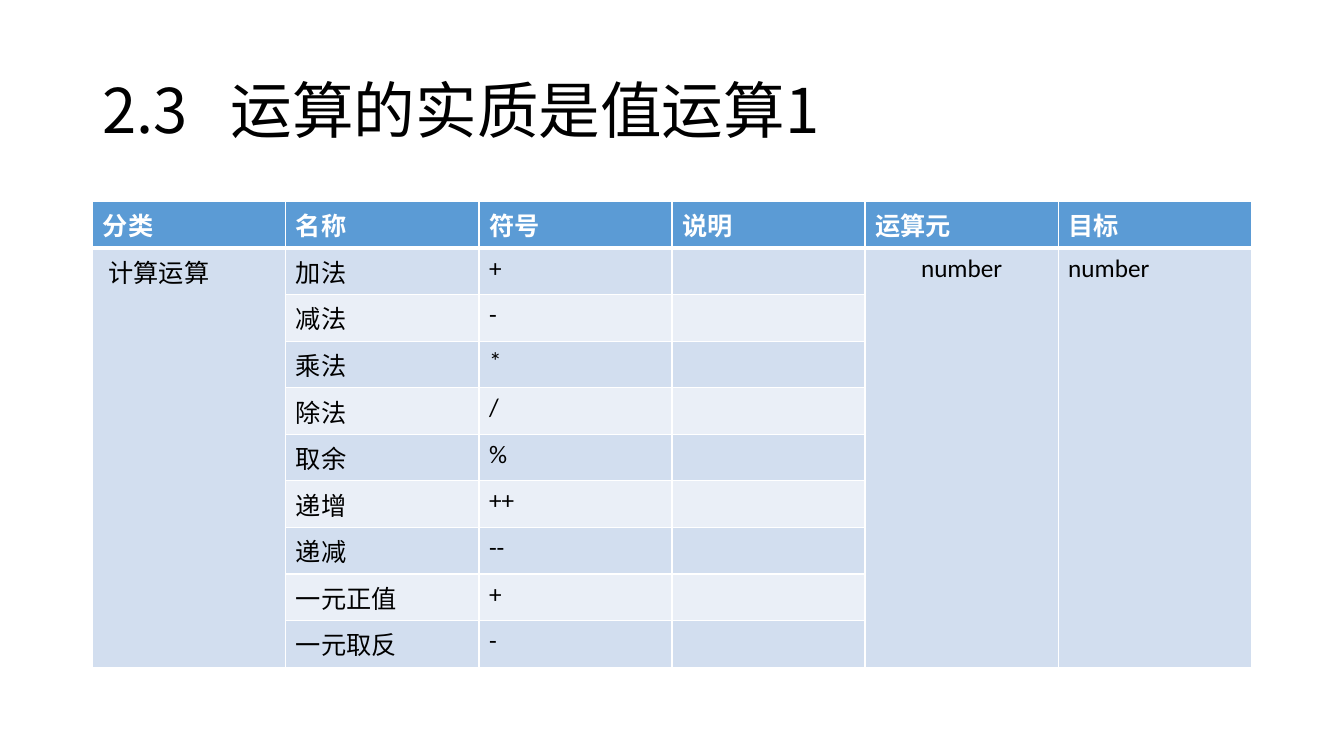
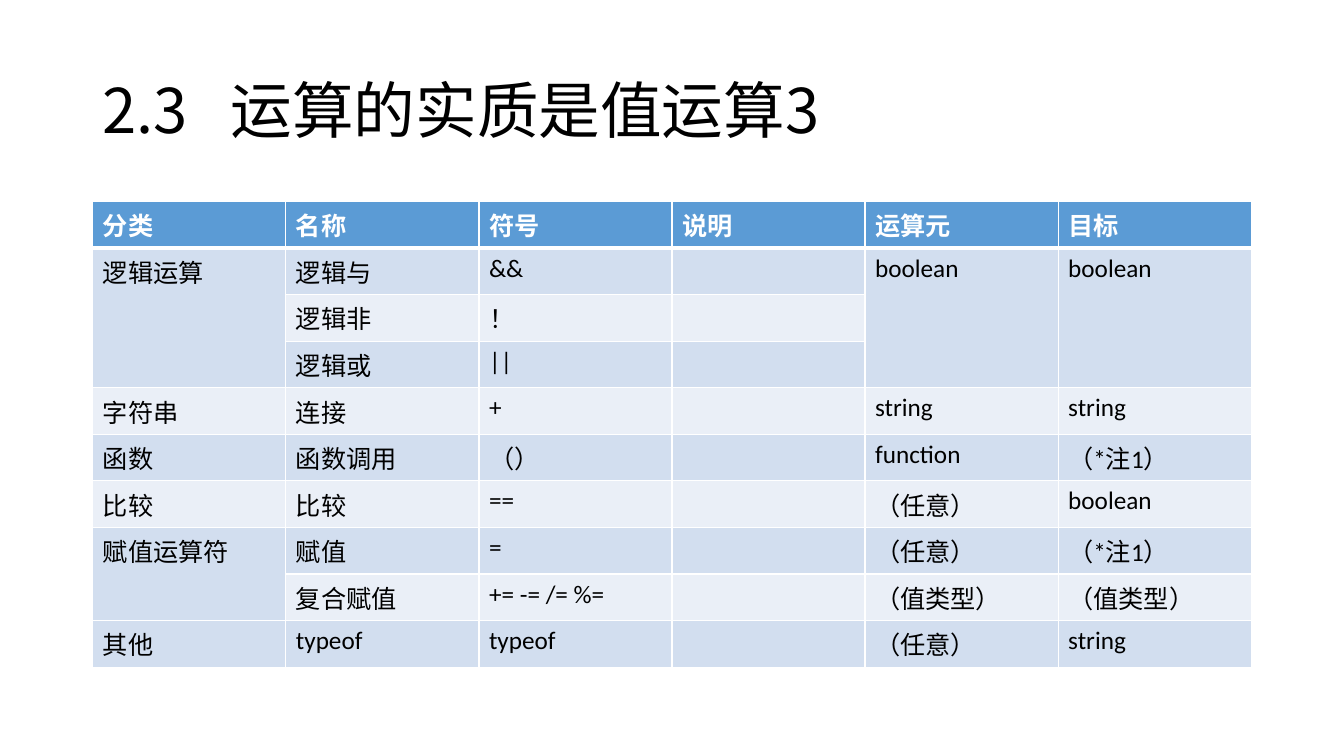
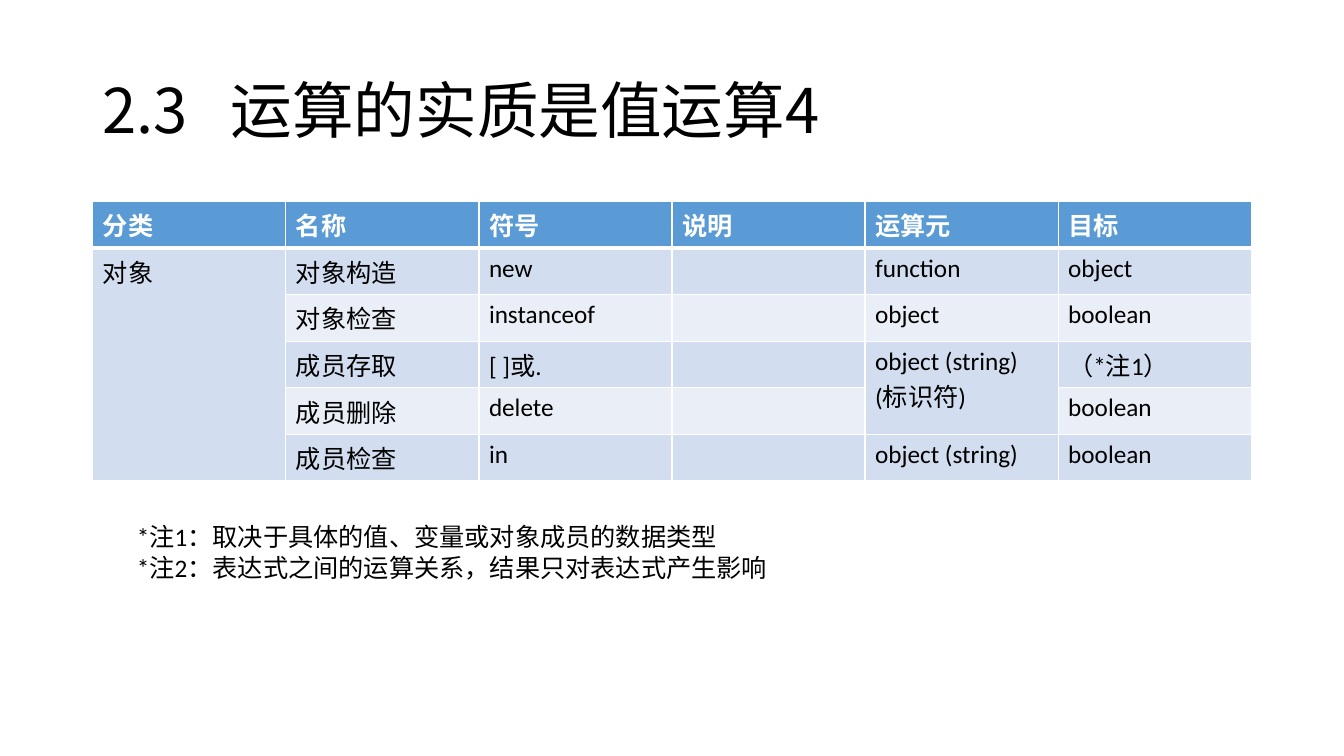
import collections

import pptx
import pptx.dml.color
import pptx.enum.text
import pptx.oxml
import pptx.oxml.ns
import pptx.util

RGBColor = pptx.dml.color.RGBColor
Inches = pptx.util.Inches
Pt = pptx.util.Pt
Align = pptx.enum.text.PP_ALIGN
Box = collections.namedtuple("Box", "left top width height")

WHITE = RGBColor(0xFF, 0xFF, 0xFF)
BLACK = RGBColor(0x00, 0x00, 0x00)
HEADER_BLUE = RGBColor(0x5B, 0x9B, 0xD5)
BANDS = (RGBColor(0xD2, 0xDE, 0xEF), RGBColor(0xEA, 0xEF, 0xF7))

LATIN_FONT = "Calibri"
CHINESE_FONT = "Noto Sans CJK SC"

SLIDE_WIDTH, SLIDE_HEIGHT = 13.33, 7.5
FULL_TABLE_ROWS = 10
TITLE_BOX = Box(0.92, 0.4, 11.5, 1.45)
TABLE_BOX = Box(0.92, 2, 11.49, 4.62)
NOTES_BOX = Box(1.26, 5.12, 6.57, 0.71)
TITLE_TAB = 1.27

HEADINGS = ("分类", "名称", "符号", "说明", "运算元", "目标")
MERGED = None

CALCULATION = [
    (" 计算运算", "加法", "+", "", "number", "number"),
] + [
    (MERGED, name, symbol, "", MERGED, MERGED)
    for name, symbol in (
        ("减法", "-"), ("乘法", "*"), ("除法", "/"), ("取余", "%"),
        ("递增", "++"), ("递减", "--"), ("一元正值", "+"), ("一元取反", "-"),
    )
]

LOGIC_AND_OTHERS = [
    ("逻辑运算", "逻辑与", "&&", "", "boolean", "boolean"),
    (MERGED, "逻辑非", "！", "", MERGED, MERGED),
    (MERGED, "逻辑或", "||", "", MERGED, MERGED),
    ("字符串", "连接", "+", "", "string", "string"),
    ("函数", "函数调用", "（）", "", "function", "（*注1）"),
    ("比较", "比较", "==", "", "（任意）", "boolean"),
    ("赋值运算符", "赋值", "=", "", "（任意）", "（*注1）"),
    (MERGED, "复合赋值", "+= -= /= %=", "", "（值类型）", "（值类型）"),
    ("其他", "typeof", "typeof", "", "（任意）", "string"),
]

OBJECTS = [
    ("对象", "对象构造", "new", "", "function", "object"),
    (MERGED, "对象检查", "instanceof", "", "object", "boolean"),
    (MERGED, "成员存取", "[ ]或.", "", "object (string)\n(标识符)", "（*注1）"),
    (MERGED, "成员删除", "delete", "", MERGED, "boolean"),
    (MERGED, "成员检查", "in", "", "object (string)", "boolean"),
]

NOTES = (
    "*注1：取决于具体的值、变量或对象成员的数据类型\n"
    "*注2：表达式之间的运算关系，结果只对表达式产生影响"
)


def write(frame, text, size=18, font=LATIN_FONT, color=BLACK, bold=False,
          align=Align.LEFT, spacing=None):
    for index, line in enumerate(text.split("\n")):
        para = frame.add_paragraph() if index else frame.paragraphs[0]
        para.alignment = align
        para.line_spacing = spacing
        para.font.size = Pt(size)
        if not line:
            continue
        span = para.add_run()
        span.text = line
        span.font.size = Pt(size)
        span.font.name = font
        span.font.bold = bold
        span.font.color.rgb = color
        east_asian = pptx.oxml.parse_xml(
            f'<a:ea {pptx.oxml.ns.nsdecls("a")} typeface="{CHINESE_FONT}"/>')
        span.font._element.find(pptx.oxml.ns.qn("a:latin")).addnext(east_asian)


def add_text_box(page, box):
    shape = page.shapes.add_textbox(*map(Inches, box))
    shape.text_frame.word_wrap = True
    return shape.text_frame


def add_title(page, box, number):
    frame = add_text_box(page, box)
    frame.vertical_anchor = pptx.enum.text.MSO_ANCHOR.MIDDLE
    write(frame, f"2.3\t运算的实质是值运算{number}", size=44,
          font=CHINESE_FONT, spacing=0.9)
    tabs = pptx.oxml.parse_xml(
        f'<a:tabLst {pptx.oxml.ns.nsdecls("a")}>'
        f'<a:tab pos="{Inches(TITLE_TAB)}" algn="l"/></a:tabLst>')
    frame.paragraphs[0]._p.get_or_add_pPr().append(tabs)


def set_borders(cell, **widths):
    properties = cell._tc.get_or_add_tcPr()
    for side in "LRTB":
        width = Pt(widths.get(side, 1))
        properties.append(pptx.oxml.parse_xml(
            f'<a:ln{side} {pptx.oxml.ns.nsdecls("a")} w="{width}"><a:solidFill>'
            f'<a:srgbClr val="{WHITE}"/></a:solidFill></a:ln{side}>'))


def fill_cell(cell, color):
    cell.fill.solid()
    cell.fill.fore_color.rgb = color


def add_operator_table(page, box, rows):
    count = len(rows) + 1
    row_height = Inches(box.height / FULL_TABLE_ROWS)
    grid = page.shapes.add_table(
        count, len(HEADINGS), Inches(box.left), Inches(box.top),
        Inches(box.width), row_height * count).table
    for column, heading in enumerate(HEADINGS):
        cell = grid.cell(0, column)
        set_borders(cell, B=3)
        fill_cell(cell, HEADER_BLUE)
        write(cell.text_frame, heading, color=WHITE, bold=True)
        first = 1
        for index, row in enumerate(rows, 1):
            cell = grid.cell(index, column)
            set_borders(cell, T=3 if index == 1 else 1)
            fill_cell(cell, BANDS[(index - 1) % 2])
            if row[column] is not MERGED:
                first = index
                centred = row[column] == "number" and column == 4
                write(cell.text_frame, row[column],
                      align=Align.CENTER if centred else Align.LEFT)
            elif index == len(rows) or rows[index][column] is not MERGED:
                grid.cell(first, column).merge(cell)


def add_notes(page, box):
    frame = add_text_box(page, box)
    frame.auto_size = pptx.enum.text.MSO_AUTO_SIZE.SHAPE_TO_FIT_TEXT
    write(frame, NOTES, spacing=Pt(21.8))


def add_operator_page(deck, number, rows):
    page = deck.slides.add_slide(deck.slide_layouts[6])
    add_title(page, TITLE_BOX, number)
    add_operator_table(page, TABLE_BOX, rows)
    return page


def main():
    deck = pptx.Presentation()
    deck.slide_width = Inches(SLIDE_WIDTH)
    deck.slide_height = Inches(SLIDE_HEIGHT)
    add_operator_page(deck, 1, CALCULATION)
    add_operator_page(deck, 3, LOGIC_AND_OTHERS)
    object_page = add_operator_page(deck, 4, OBJECTS)
    add_notes(object_page, NOTES_BOX)
    deck.save("out.pptx")


if __name__ == "__main__":
    main()
